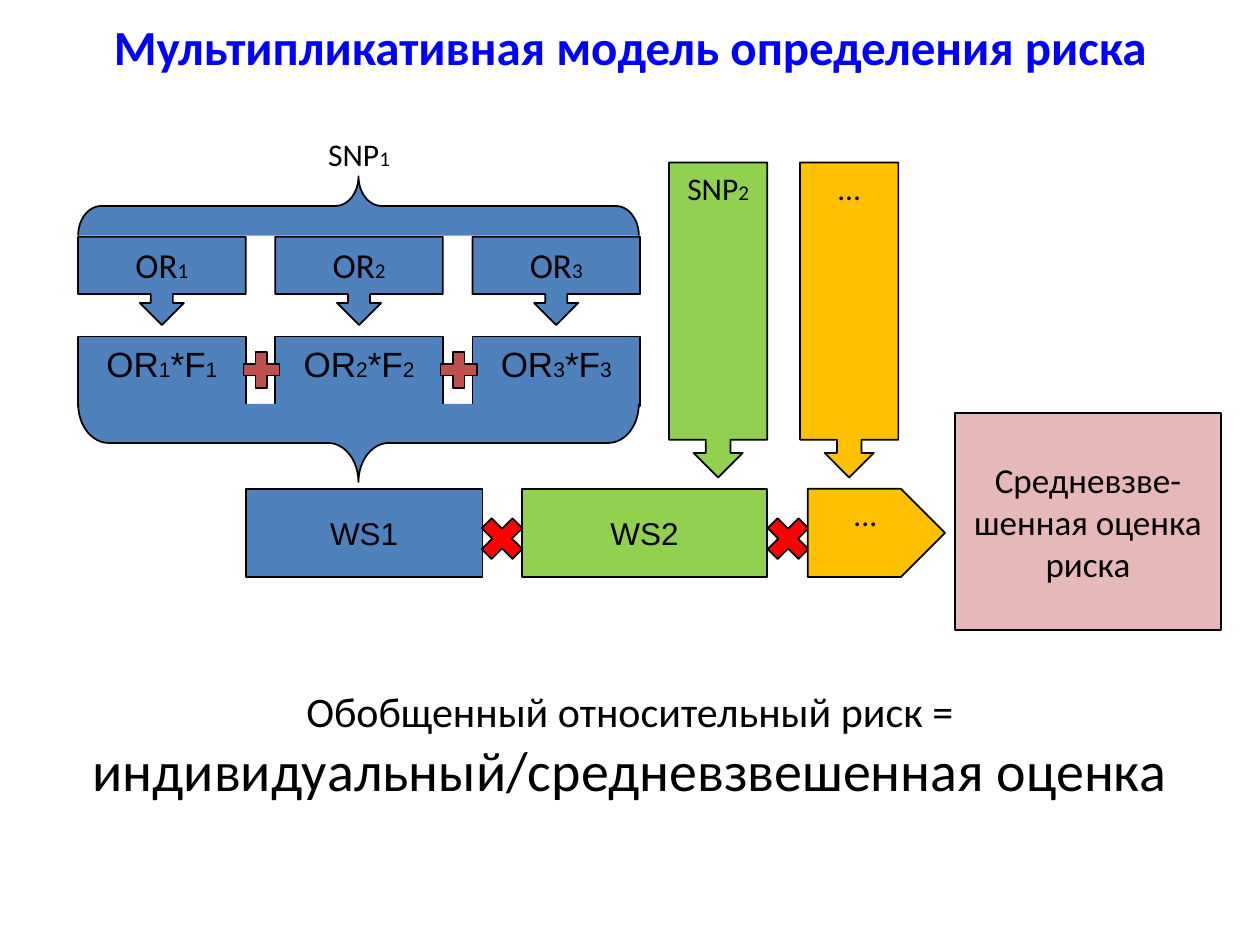
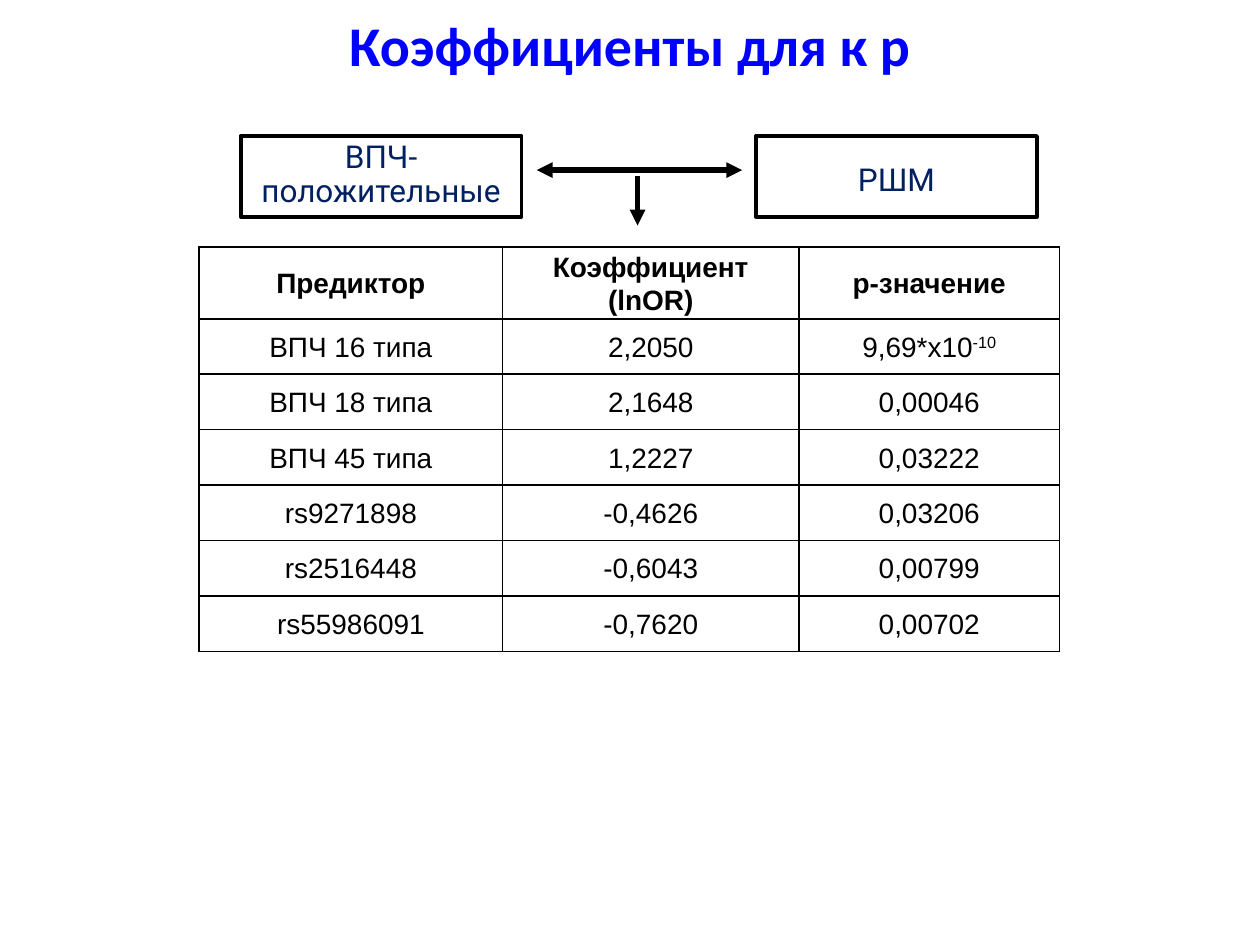
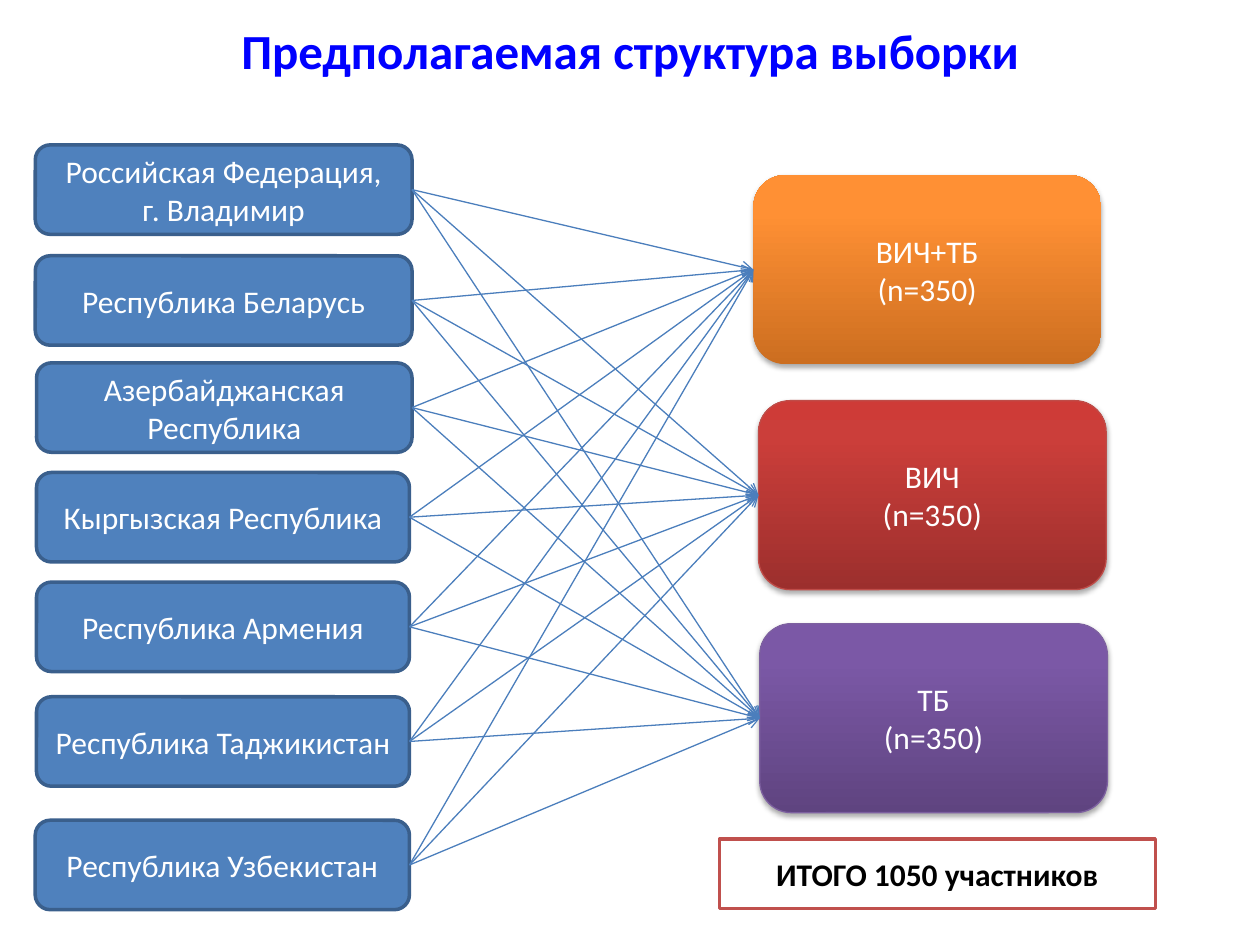
from lxml.etree import SubElement
from pptx import Presentation
from pptx.dml.color import RGBColor
from pptx.enum.shapes import MSO_CONNECTOR, MSO_SHAPE
from pptx.enum.text import MSO_ANCHOR, MSO_AUTO_SIZE, PP_ALIGN
from pptx.oxml.ns import qn
from pptx.util import Inches, Pt

BLACK, WHITE, NAVY, TITLE = "000000", "FFFFFF", "002060", "0000FF"
BLUE, GREEN, GOLD, BRICK = "4F81BD", "92D050", "FFC000", "C0504D"
RED, PINK, EDGE, LINK = "FF0000", "E6B9B8", "3A5F8C", "4B7EBC"
COLS, ROWS = 100, 75
SMALL = {"size": Pt(12)}
FIT = MSO_AUTO_SIZE.SHAPE_TO_FIT_TEXT
TOP, MID = MSO_ANCHOR.TOP, MSO_ANCHOR.MIDDLE


def paint(color, code):
    color.rgb = RGBColor.from_string(code)


def apply(item, values):
    for key, value in values.items():
        setattr(item, key, value)


class Deck:
    def __init__(self):
        self.show = Presentation()
        self.show.slide_width, self.show.slide_height = Inches(10), Inches(7.5)
        self.col = self.show.slide_width / COLS
        self.row = self.show.slide_height / ROWS

    def place(self, x, y, wide, high):
        return (round(x * self.col), round(y * self.row),
                round(wide * self.col), round(high * self.row))

    def page(self, text, top, high, size):
        self.slide = self.show.slides.add_slide(self.show.slide_layouts[5])
        title = self.slide.shapes.title
        apply(title, dict(zip(("left", "top", "width", "height"),
                              self.place(0, top, COLS, high))))
        self.letter(title.text_frame, text, TITLE, size=size, bold=True,
                    frame={"vertical_anchor": MID, "word_wrap": True, "auto_size": FIT})

    def letter(self, body, text, color=BLACK, size=18, name="Calibri", bold=False,
               alt=SMALL, space=None, frame=None):
        apply(body, frame or {})
        for count, line in enumerate(text.split("\n")):
            para = body.add_paragraph() if count else body.paragraphs[0]
            apply(para, {"alignment": PP_ALIGN.CENTER, "line_spacing": space})
            for index, part in enumerate(line.split("|")):
                run = para.add_run()
                run.text = part
                form = {"name": name, "size": Pt(size), "bold": bold}
                form.update(alt if index % 2 else {})
                base = form.pop("base", None)
                apply(run.font, form)
                paint(run.font.color, color)
                if base:
                    run.font._element.set("baseline", base)

    def shape(self, kind, spot, fill=None, edge=BLACK, wide=1, text="", wrap=False,
              anchor=MID, adjust=(), frame=None, **form):
        item = self.slide.shapes.add_shape(kind, *self.place(*spot))
        item.shadow.inherit = False
        for index, value in enumerate(adjust):
            item.adjustments[index] = value
        if fill:
            item.fill.solid()
            paint(item.fill.fore_color, fill)
        else:
            item.fill.background()
        if edge:
            paint(item.line.color, edge)
            item.line.width = Pt(wide)
        else:
            item.line.fill.background()
        if text:
            self.letter(item.text_frame, text, frame={
                "word_wrap": wrap, "vertical_anchor": anchor, **(frame or {})}, **form)
        return item

    def brace(self, spot, turn, middle):
        x, y, wide, high = spot
        tall = (x + (wide - high) / 2, y + (high - wide) / 2, high, wide)
        self.shape(MSO_SHAPE.LEFT_BRACE, tall, BLUE, adjust=(0.39, middle)).rotation = turn

    def glow(self, item, stops):
        item.fill.gradient()
        item.fill.gradient_angle = 90
        group = item._element.spPr.find(qn("a:gradFill")).find(qn("a:gsLst"))
        for old in list(group):
            group.remove(old)
        for point, code in zip((0, 80, 100), stops):
            stop = SubElement(group, qn("a:gs"), pos=str(point * 1000))
            SubElement(stop, qn("a:srgbClr"), val=code)
        cast = SubElement(item._element.spPr.find(qn("a:effectLst")), qn("a:outerShdw"),
                          blurRad=str(Pt(3.1)), dist=str(Pt(1.8)), dir="5400000",
                          rotWithShape="0")
        shade = SubElement(cast, qn("a:srgbClr"), val=BLACK)
        SubElement(shade, qn("a:alpha"), val="35000")

    def label(self, spot, text, wrap=True, **form):
        box = self.slide.shapes.add_textbox(*self.place(*spot))
        self.letter(box.text_frame, text, frame={"word_wrap": wrap, "auto_size": FIT}, **form)

    def line(self, start, end, color, wide, **tips):
        spot = self.place(*start, *end)
        item = self.slide.shapes.add_connector(MSO_CONNECTOR.STRAIGHT, *spot)
        paint(item.line.color, color)
        item.line.width = Pt(wide)
        stroke = item._element.spPr.find(qn("a:ln"))
        for tip, kind in tips.items():
            SubElement(stroke, qn("a:" + tip), type=kind)
        SubElement(item._element.spPr, qn("a:effectLst"))
        return item

    def link(self, left, right):
        item = self.line((0, 0), (1, 1), LINK, 0.75, tailEnd="arrow")
        item.begin_connect(left, 3)
        item.end_connect(right, 1)

    def table(self, x, y, wides, highs, data):
        spot = self.place(x, y, sum(wides), sum(highs))
        grid = self.slide.shapes.add_table(len(highs), len(wides), *spot).table
        apply(grid, {"first_row": False, "horz_banding": False})
        for column, wide in zip(grid.columns, wides):
            column.width = round(wide * self.col)
        for index, (row, high, texts) in enumerate(zip(grid.rows, highs, data)):
            row.height = round(high * self.row)
            for cell, text in zip(row.cells, texts):
                apply(cell, {"margin_left": Inches(0.05), "margin_right": Inches(0.05),
                             "margin_top": 0, "margin_bottom": 0, "vertical_anchor": MID})
                self.letter(cell.text_frame, text, size=16, name="Arial", bold=index == 0,
                            space=1.07, alt={"base": "30000"})
                self.rim(cell)

    def rim(self, cell):
        props = cell._tc.get_or_add_tcPr()
        for side in ("lnL", "lnR", "lnT", "lnB"):
            edge = SubElement(props, qn("a:" + side), w=str(Pt(1)))
            SubElement(SubElement(edge, qn("a:solidFill")), qn("a:srgbClr"), val=BLACK)
        cell.fill.background()


def model(deck):
    deck.page("Мультипликативная модель определения риска", 0.8, 5.7, 28)
    call, box = MSO_SHAPE.DOWN_ARROW_CALLOUT, MSO_SHAPE.FLOWCHART_PROCESS
    left, step, wide = 6.2, 15.65, 13.3
    for index in range(3):
        x, num = left + index * step, index + 1
        deck.shape(call, (x, 18.8, wide, 7), BLUE, text=f"OR|{num}", size=20,
                   anchor=TOP, adjust=(0.25, 0.25, 0.25, 0.65))
        deck.shape(box, (x, 26.7, wide, 5.5), BLUE, text=f"OR|{num}|*F|{num}", size=20,
                   name="Arial", anchor=TOP)
    for index in range(2):
        deck.shape(MSO_SHAPE.MATH_PLUS, (18.8 + index * step, 27.4, 3.9, 3.9), BRICK)
    deck.brace((left, 32.05, 44.5, 6.2), 270, 0.5)
    for text, x, span, fill in (("WS1", 19.5, 18.8, BLUE), ("WS2", 41.4, 19.5, GREEN)):
        deck.shape(box, (x, 38.8, span, 7), fill, text=text, name="Arial")
    for x in (37.5, 60.2):
        deck.shape(MSO_SHAPE.MATH_MULTIPLY, (x, 40.4, 4.7, 4.7), RED)
    deck.shape(MSO_SHAPE.PENTAGON, (64.1, 38.8, 10.9, 7), GOLD, text="...", anchor=TOP)
    deck.shape(box, (75.8, 32.8, 21.1, 17.2), PINK, size=20,
               text="Cредневзве-\nшенная оценка\nриска")
    for text, x, fill in (("SNP|2", 53.1, GREEN), ("...", 63.5, GOLD)):
        deck.shape(call, (x, 12.9, 7.8, 25), fill, text=text, anchor=TOP,
                   adjust=(0.25, 0.25, 0.25, 0.88))
    deck.label((25, 10.2, 7, 4), "SNP|1", wrap=False)
    deck.brace((left, 14, 44.5, 4.7), 90, 0.5)
    deck.label((0, 53.9, COLS, 10.4), size=24, alt={"size": Pt(32)},
               text="Обобщенный относительный риск = |индивидуальный/средневзвешенная оценка")


def odds(deck):
    deck.page("Коэффициенты для к р", 0.3, 6.4, 32)
    inset = {"margin_left": Inches(0.07), "margin_right": Inches(0.07),
             "margin_top": Inches(0.04), "margin_bottom": Inches(0.04)}
    for text, x, space in (("ВПЧ-положительные", 19.1, 0.9), ("РШМ", 60, 1.5)):
        deck.shape(MSO_SHAPE.RECTANGLE, (x, 10.8, 22.3, 6.4), wide=2.25, text=text,
                   wrap=True, anchor=TOP, frame=inset, color=NAVY, name="Roboto", space=space)
    deck.line((42.6, 13.5), (58.9, 13.5), BLACK, 3, headEnd="triangle", tailEnd="triangle")
    deck.line((50.6, 14), (50.6, 17.9), BLACK, 3, tailEnd="triangle")
    deck.table(15.8, 19.6, (24.1, 23.5, 20.7), (5.3,) + (4.4,) * 6, (
        ("Предиктор", "Коэффициент (lnOR)", "p-значение"),
        ("ВПЧ 16 типа", "2,2050", "9,69*x10|-10"),
        ("ВПЧ 18 типа", "2,1648", "0,00046"),
        ("ВПЧ 45 типа", "1,2227", "0,03222"),
        ("rs9271898", "-0,4626", "0,03206"),
        ("rs2516448", "-0,6043", "0,00799"),
        ("rs55986091", "-0,7620", "0,00702")))


def sample(deck):
    deck.page("Предполагаемая структура выборки", 1.1, 5.7, 28)
    lands = (("Российская Федерация,\nг. Владимир", 2.8, 11.5, 29.9),
             ("Республика Беларусь", 2.8, 20.3, 29.9),
             ("Азербайджанская Республика", 2.9, 28.8, 29.8),
             ("Кыргызская Республика", 2.9, 37.5, 29.6),
             ("Республика Армения", 2.9, 46.2, 29.6),
             ("Республика Таджикистан", 2.9, 55.3, 29.6),
             ("Республика Узбекистан", 2.8, 65.1, 29.7))
    groups = (("ВИЧ+ТБ", 59.8, 13.9, None, ("CC6E20", "FF9034", "FF9136")),
              ("ВИЧ", 60.2, 31.8, "BF4C48", ("9C2F2D", "CB3E3A", "CE3B37")),
              ("ТБ", 60.3, 49.5, "7D60A0", ("5F4480", "7B58A6", "7C57A8")))
    round_box = MSO_SHAPE.ROUNDED_RECTANGLE
    starts = [deck.shape(round_box, (x, y, wide, 7.1), BLUE, EDGE, 2, text,
                         wrap=True, color=WHITE) for text, x, y, wide in lands]
    ends = []
    for text, x, y, edge, stops in groups:
        ends.append(deck.shape(round_box, (x, y, 27.6, 15), None, edge, 0.75,
                               text + "\n(n=350)", wrap=True, color=WHITE))
        deck.glow(ends[-1], stops)
    for start in starts:
        for end in ends:
            deck.link(start, end)
    deck.shape(MSO_SHAPE.RECTANGLE, (57.1, 66.6, 34.6, 5.5), WHITE, BRICK, 2,
               "ИТОГО 1050 участников", wrap=True, bold=True)


def main():
    deck = Deck()
    for build in (model, odds, sample):
        build(deck)
    deck.show.save("out.pptx")


if __name__ == "__main__":
    main()
